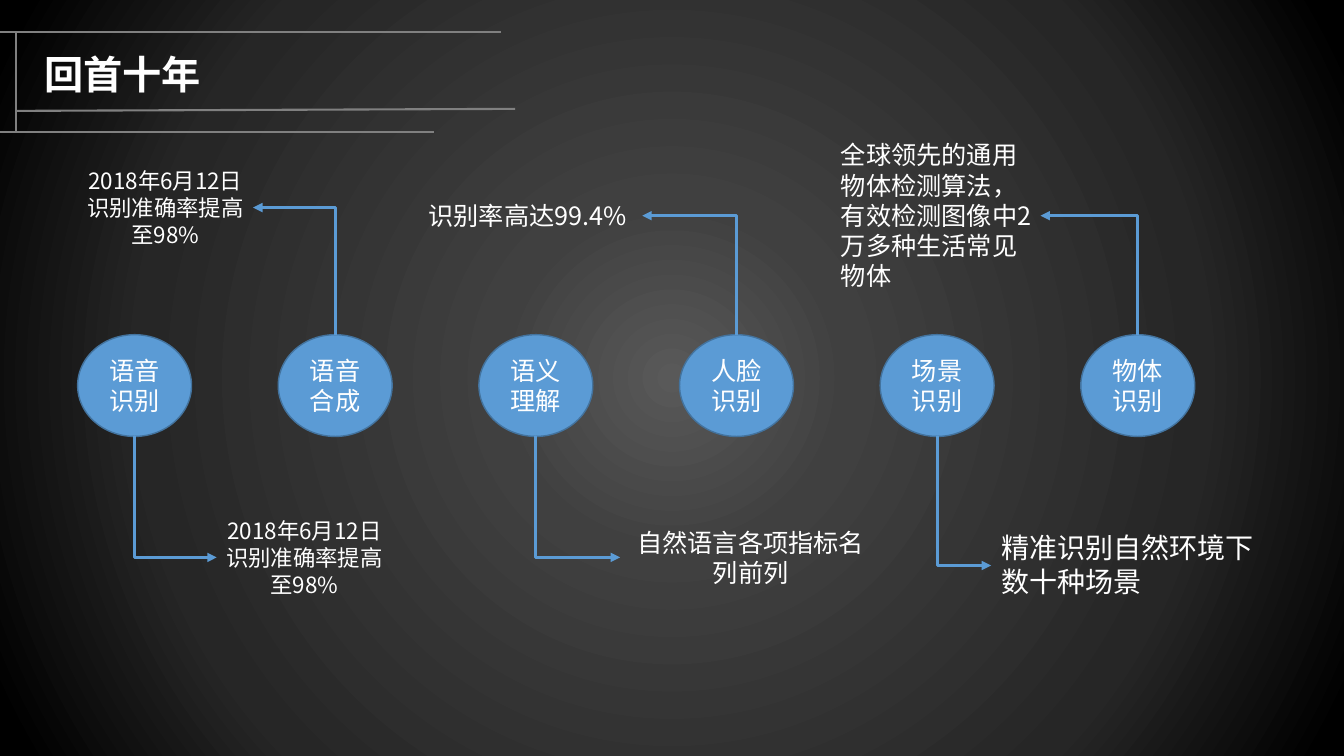
"""Build the ten-year review slide: six skills, each with an arrow to its result."""
import pptx
import pptx.dml.color
import pptx.enum.shapes
import pptx.enum.text
import pptx.oxml
import pptx.oxml.ns
import pptx.util

PX = 9144
FONT = "Noto Sans CJK SC"
HUE = {"text": "FFFFFF", "rule": "808080", "disc": "5B9BD5", "edge": "43739E"}
GLOW = [(0, "595959"), (23, "404040"), (69, "262626"), (97, "000000")]
LEFT = pptx.enum.text.PP_ALIGN.LEFT
MID = pptx.enum.text.PP_ALIGN.CENTER
KIND = pptx.enum.shapes.MSO_CONNECTOR


def write(shape, lines, size, align, bold=False):
    """Fill a shape with white text, one paragraph a line."""
    frame = shape.text_frame
    frame.auto_size = pptx.enum.text.MSO_AUTO_SIZE.SHAPE_TO_FIT_TEXT
    frame.word_wrap = not bold
    if not bold:
        frame.vertical_anchor = pptx.enum.text.MSO_ANCHOR.MIDDLE
        frame.margin_left = frame.margin_right = 6 * PX
        frame.margin_top = frame.margin_bottom = 6 * PX
    for i, line in enumerate(lines):
        para = frame.paragraphs[0] if i == 0 else frame.add_paragraph()
        para.alignment = align
        run = para.add_run()
        run.text = line
        run.font.size = pptx.util.Pt(size)
        run.font.bold = bold
        run.font.name = FONT
        run.font.color.rgb = pptx.dml.color.RGBColor.from_string(HUE["text"])
        east = run.font._element.makeelement(pptx.oxml.ns.qn("a:ea"), {"typeface": FONT})
        run.font._element.append(east)


def link(kind, ends, hue, width):
    """Draw a connector without a shadow between two points in px."""
    line = slide.shapes.add_connector(kind, *[round(n * PX) for n in ends])
    line.line.color.rgb = pptx.dml.color.RGBColor.from_string(HUE[hue])
    line.line.width = pptx.util.Pt(width)
    props = line._element.spPr
    props.append(props.makeelement(pptx.oxml.ns.qn("a:effectLst"), {}))
    return line


deck = pptx.Presentation()
deck.slide_width = 1333 * PX
deck.slide_height = 750 * PX
slide = deck.slides.add_slide(deck.slide_layouts[6])

stops = "".join(
    f'<a:gs pos="{pos * 1000}"><a:srgbClr val="{hue}"/></a:gs>' for pos, hue in GLOW
)
back = pptx.oxml.parse_xml(
    f'<p:bg {pptx.oxml.ns.nsdecls("p", "a")}><p:bgPr><a:gradFill rotWithShape="1">'
    f'<a:gsLst>{stops}</a:gsLst><a:path path="circle">'
    '<a:fillToRect l="50000" t="50000" r="50000" b="50000"/></a:path>'
    '</a:gradFill><a:effectLst/></p:bgPr></p:bg>'
)
slide.element.cSld.insert(0, back)

rules = [(0, 32, 497, 32), (0, 131, 430, 131), (16, 110, 511, 108), (16, 32, 16, 131)]
for ends in rules:
    link(KIND.STRAIGHT, ends, "rule", 1.5)

title = slide.shapes.add_textbox(34 * PX, 45 * PX, 177 * PX, 57 * PX)
write(title, ["回首十年"], 28, LEFT, True)

voice = ["2018年6月12日", "识别准确率提高至98%"]
scene = ["精准识别自然环境下", "数十种场景"]
thing = ["全球领先的通用物体检测算法，有效检测图像中2万多种生活常见物体"]
skills = [
    ("语音识别", voice, 16, MID, (215, 507, 174, 92), (215, 553)),
    ("语音合成", voice, 16, MID, (77, 160, 174, 92), (251, 206)),
    ("语义理解", ["自然语言各项指标名列前列"], 18, MID, (615, 517, 259, 72), (615, 553)),
    ("人脸识别", ["识别率高达99.4%"], 18, LEFT, (419, 193, 218, 42), (637, 214)),
    ("场景识别", scene, 20, LEFT, (987, 520, 406, 79), (983, 561)),
    ("物体识别", thing, 18, LEFT, (828, 132, 204, 163), (1032, 214)),
]
TOP, WIDE, HIGH, STEP = 332, 113, 101, 199

for i, (name, lines, size, align, box, tip) in enumerate(skills):
    left = 77 + i * STEP
    disc = slide.shapes.add_shape(
        pptx.enum.shapes.MSO_SHAPE.OVAL, left * PX, TOP * PX, WIDE * PX, HIGH * PX
    )
    disc.shadow.inherit = False
    disc.fill.solid()
    disc.fill.fore_color.rgb = pptx.dml.color.RGBColor.from_string(HUE["disc"])
    disc.line.color.rgb = pptx.dml.color.RGBColor.from_string(HUE["edge"])
    disc.line.width = pptx.util.Pt(1)
    write(disc, [name], 18, MID)

    note = slide.shapes.add_textbox(*[n * PX for n in box])
    write(note, lines, size, align)

    x, y = left + WIDE / 2, TOP + HIGH * (tip[1] > TOP)
    run, drop = tip[0] - x, tip[1] - y
    mid_x, mid_y = x + run / 2, y + drop / 2
    ends = (mid_x + drop / 2, mid_y - run / 2, mid_x - drop / 2, mid_y + run / 2)
    arrow = link(KIND.ELBOW, ends, "disc", 2.25)
    props = arrow._element.spPr
    props.find(pptx.oxml.ns.qn("a:xfrm")).set("rot", "16200000")
    props.find(pptx.oxml.ns.qn("a:prstGeom")).set("prst", "bentConnector2")
    stroke = props.find(pptx.oxml.ns.qn("a:ln"))
    stroke.append(stroke.makeelement(pptx.oxml.ns.qn("a:tailEnd"), {"type": "triangle"}))

deck.save("out.pptx")
